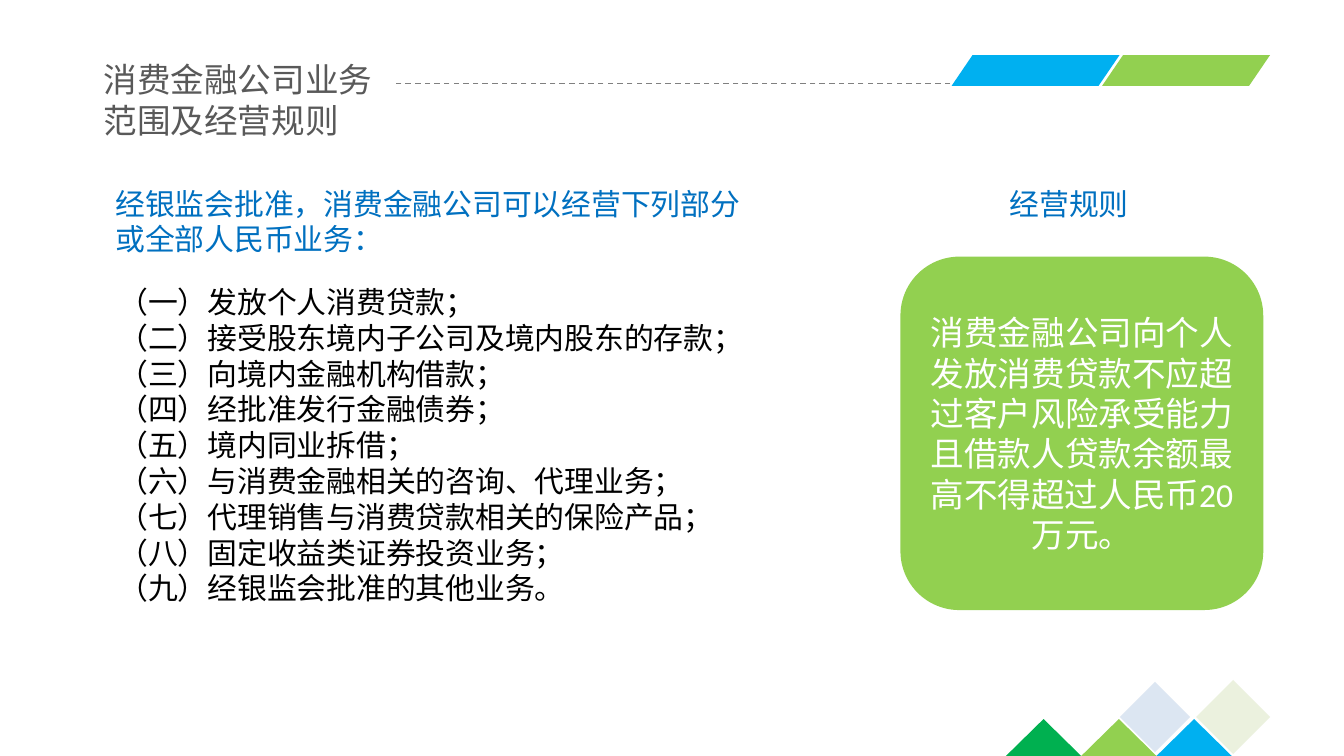
from dataclasses import dataclass

from lxml import etree
from pptx import Presentation
from pptx.dml.color import RGBColor
from pptx.enum.dml import MSO_LINE
from pptx.enum.shapes import MSO_CONNECTOR, MSO_SHAPE
from pptx.enum.text import MSO_ANCHOR, MSO_AUTO_SIZE, PP_ALIGN
from pptx.oxml.ns import qn
from pptx.util import Inches, Pt

RECTANGLE = MSO_SHAPE.RECTANGLE
PARALLELOGRAM = MSO_SHAPE.PARALLELOGRAM
TRIANGLE = MSO_SHAPE.ISOSCELES_TRIANGLE
ROUNDED = MSO_SHAPE.ROUNDED_RECTANGLE
STRAIGHT = MSO_CONNECTOR.STRAIGHT
DASH = MSO_LINE.DASH
NO_AUTOFIT = MSO_AUTO_SIZE.NONE
LEFT, CENTER = PP_ALIGN.LEFT, PP_ALIGN.CENTER
TOP, MIDDLE = MSO_ANCHOR.TOP, MSO_ANCHOR.MIDDLE

BLACK = RGBColor(0x00, 0x00, 0x00)
WHITE = RGBColor(0xFF, 0xFF, 0xFF)
TITLE_GRAY = RGBColor(0x59, 0x59, 0x59)
RULE_GRAY = RGBColor(0x80, 0x80, 0x80)
HEADING_BLUE = RGBColor(0x00, 0x70, 0xC0)
SKY_BLUE = RGBColor(0x00, 0xB0, 0xF0)
LIME = RGBColor(0x92, 0xD0, 0x50)
GREEN = RGBColor(0x00, 0xB0, 0x50)
PALE_BLUE = RGBColor(0xDC, 0xE6, 0xF2)
PALE_GREEN = RGBColor(0xEB, 0xF1, 0xDE)

CJK_FONT = "Noto Sans CJK SC"
LATIN_FONT = "Calibri"

TITLE_LINES = ["消费金融公司业务", "范围及经营规则"]
SCOPE_LINES = ["经银监会批准，消费金融公司可以经营下列部分", "或全部人民币业务："]
BUSINESS_ITEMS = [
    "（一）发放个人消费贷款；",
    "（二）接受股东境内子公司及境内股东的存款；",
    "（三）向境内金融机构借款；",
    "（四）经批准发行金融债券；",
    "（五）境内同业拆借；",
    "（六）与消费金融相关的咨询、代理业务；",
    "（七）代理销售与消费贷款相关的保险产品；",
    "（八）固定收益类证券投资业务；",
    "（九）经银监会批准的其他业务。",
]
RULE_TEXT = "消费金融公司向个人发放消费贷款不应超过客户风险承受能力且借款人贷款余额最高不得超过人民币20万元。"


@dataclass
class Box:
    left: float
    top: float
    width: float
    height: float

    def lengths(self):
        return [Inches(v) for v in (self.left, self.top, self.width, self.height)]


@dataclass
class TextStyle:
    size: int
    color: RGBColor
    align: PP_ALIGN = LEFT
    anchor: MSO_ANCHOR = TOP
    font: str = CJK_FONT
    wrap: bool = True
    side_margin: float = 0.1


@dataclass
class Ornament:
    preset: MSO_SHAPE
    box: Box
    color: RGBColor
    rotation: float = 0
    adjustment: float | None = None


def add_ornament(slide, ornament: Ornament):
    shape = slide.shapes.add_shape(ornament.preset, *ornament.box.lengths())
    shape.shadow.inherit = False
    shape.fill.solid()
    shape.fill.fore_color.rgb = ornament.color
    shape.line.fill.background()
    shape.rotation = ornament.rotation
    if ornament.adjustment is not None:
        shape.adjustments[0] = ornament.adjustment
    return shape


def write_lines(shape, lines: list[str], style: TextStyle) -> None:
    """Write one unbulleted, tightly set paragraph per line."""
    frame = shape.text_frame
    frame.auto_size = NO_AUTOFIT
    frame.word_wrap = style.wrap
    frame.vertical_anchor = style.anchor
    frame.margin_left = frame.margin_right = Inches(style.side_margin)
    for index, line in enumerate(lines):
        paragraph = frame.add_paragraph() if index else frame.paragraphs[0]
        paragraph.alignment = style.align
        paragraph.space_before = Pt(0)
        properties = paragraph._p.get_or_add_pPr()
        properties.set("marL", "0")
        properties.set("indent", "0")
        etree.SubElement(properties, qn("a:buNone"))
        run = paragraph.add_run()
        run.text = line
        run.font.size = Pt(style.size)
        run.font.color.rgb = style.color
        run.font.name = style.font
        east_asian = etree.SubElement(run._r.get_or_add_rPr(), qn("a:ea"))
        east_asian.set("typeface", CJK_FONT)


def fill_placeholder(placeholder, box: Box, lines: list[str], style: TextStyle) -> None:
    placeholder.left, placeholder.top, placeholder.width, placeholder.height = box.lengths()
    write_lines(placeholder, lines, style)


def add_heading(slide, box: Box, lines: list[str], style: TextStyle) -> None:
    write_lines(slide.shapes.add_textbox(*box.lengths()), lines, style)


def add_dashed_rule(slide, start: float, end: float, y: float) -> None:
    rule = slide.shapes.add_connector(
        STRAIGHT, Inches(start), Inches(y), Inches(end), Inches(y))
    rule.line.color.rgb = RULE_GRAY
    rule.line.width = Pt(0.75)
    rule.line.dash_style = DASH
    etree.SubElement(rule._element.spPr, qn("a:effectLst"))


def main() -> None:
    presentation = Presentation()
    presentation.slide_width = Inches(10)
    presentation.slide_height = Inches(10) * 9 // 16
    slide = presentation.slides.add_slide(presentation.slide_layouts[1])

    diamonds = [
        Ornament(RECTANGLE, Box(8.41, 5.15, 0.37, 0.37), PALE_BLUE, 315),
        Ornament(RECTANGLE, Box(8.98, 5.14, 0.39, 0.39), PALE_GREEN, 315),
    ]
    banners = [
        Ornament(PARALLELOGRAM, Box(7.08 + 1.12 * i, 0.41, 1.25, 0.23), color,
                 adjustment=0.68)
        for i, color in enumerate([SKY_BLUE, LIME])
    ]
    peaks = [
        Ornament(TRIANGLE, Box(7.48 + 0.56 * i, 5.35, 0.57, 0.28), color)
        for i, color in enumerate([GREEN, LIME, SKY_BLUE])
    ]
    for ornament in diamonds + banners + peaks:
        add_ornament(slide, ornament)
    add_dashed_rule(slide, 7.07, 2.94, 0.62)

    fill_placeholder(slide.shapes.title, Box(0.67, 0.39, 2.22, 0.71), TITLE_LINES,
                     TextStyle(18, TITLE_GRAY, wrap=False))
    fill_placeholder(slide.placeholders[1], Box(0.78, 2.06, 4.88, 2.59), BUSINESS_ITEMS,
                     TextStyle(16, BLACK))
    add_heading(slide, Box(0.76, 1.33, 4.91, 0.64), SCOPE_LINES,
                TextStyle(16, HEADING_BLUE, wrap=False))
    add_heading(slide, Box(7.12, 1.33, 1.67, 0.37), ["经营规则"],
                TextStyle(16, HEADING_BLUE, CENTER))

    rule_card = add_ornament(slide, Ornament(ROUNDED, Box(6.7, 1.91, 2.7, 2.63), LIME))
    write_lines(rule_card, [RULE_TEXT],
                TextStyle(18, WHITE, CENTER, MIDDLE, LATIN_FONT, side_margin=0.08))

    presentation.save("out.pptx")


if __name__ == "__main__":
    main()
